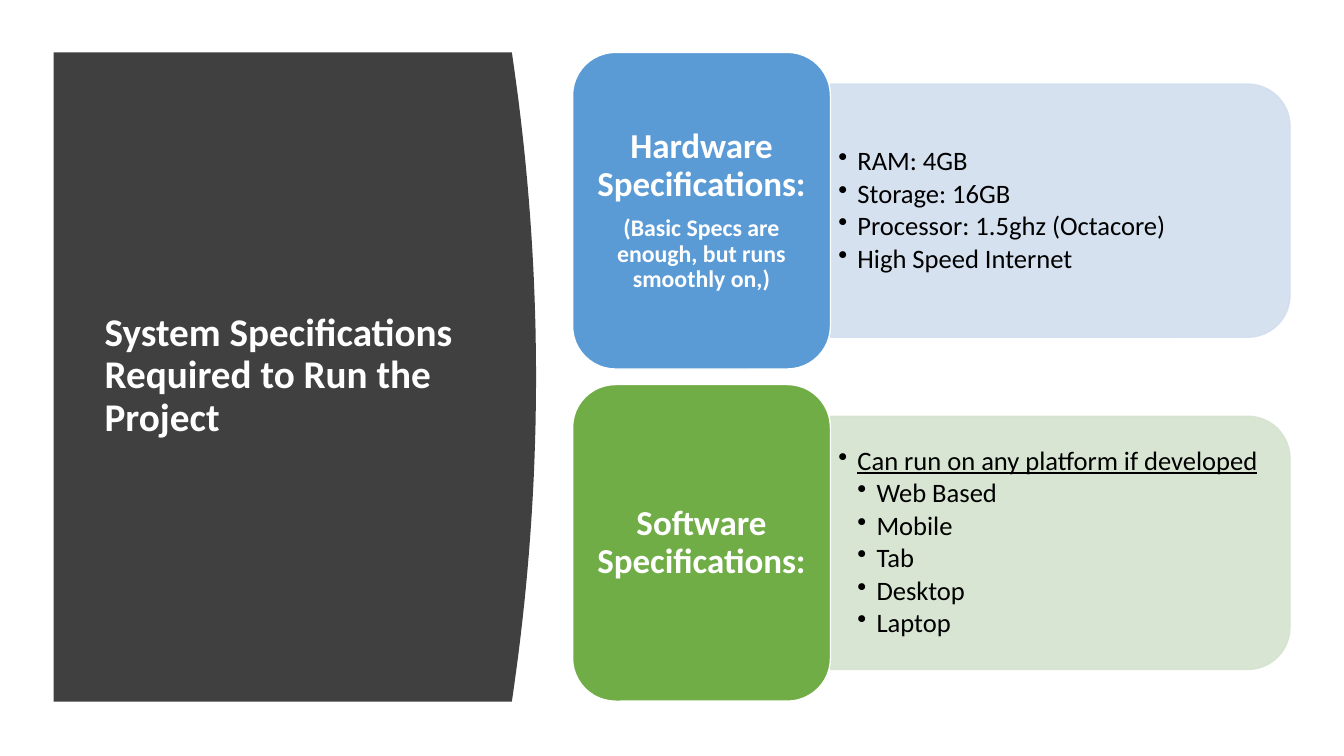
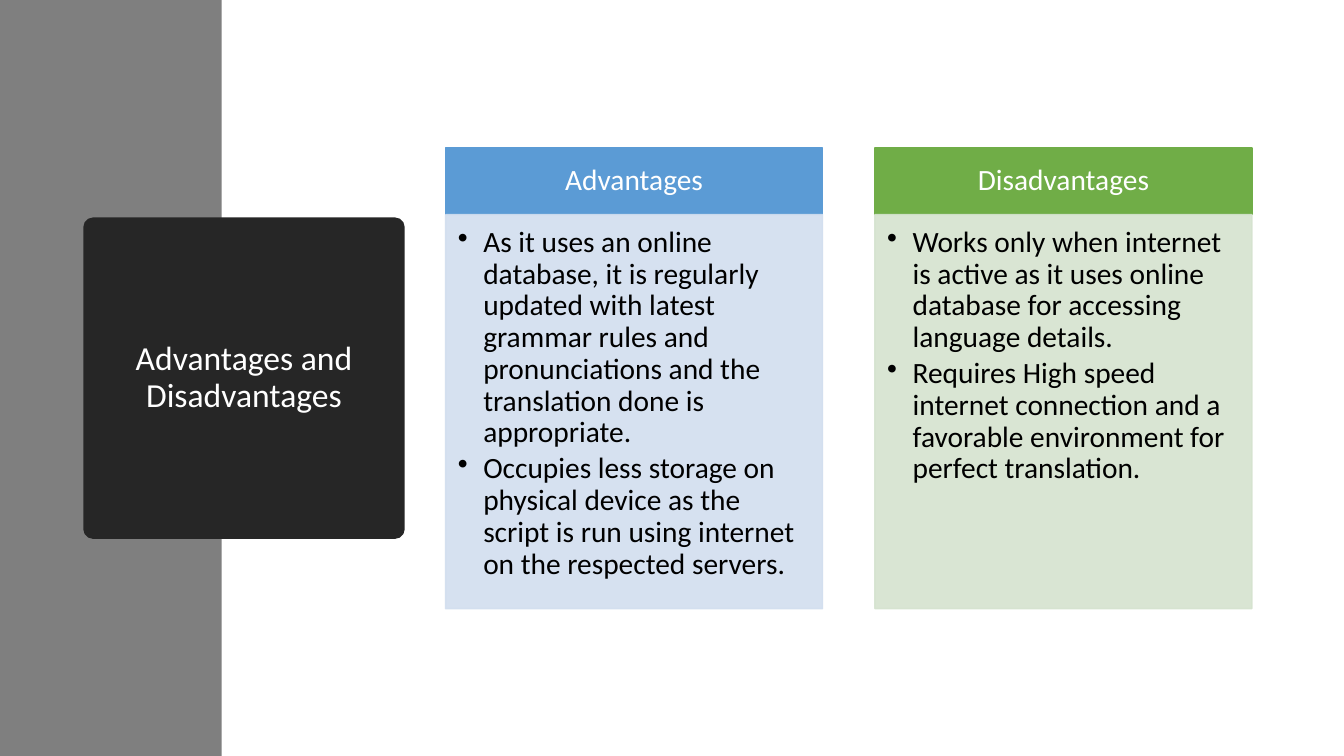
from dataclasses import dataclass

from lxml import etree
from pptx import Presentation
from pptx.dml.color import RGBColor as Rgb
from pptx.enum.shapes import MSO_SHAPE as Kind
from pptx.enum.text import MSO_ANCHOR as Anchor, PP_ALIGN as Align
from pptx.oxml.ns import qn
from pptx.util import Cm, Pt


@dataclass(frozen=True)
class Theme:
    font: str = "Calibri"
    white: str = "FFFFFF"
    black: str = "000000"
    slate: str = "404040"
    coal: str = "262626"
    gray: str = "7F7F7F"
    blue: str = "5B9BD5"
    sky: str = "D2DEEF"
    green: str = "70AD47"
    mint: str = "D5E3CF"
    title: int = 28
    badge: int = 24
    label: int = 25
    note: int = 17
    item: int = 19
    body: int = 21


T = Theme()
TONES = [(T.blue, T.sky), (T.green, T.mint)]


@dataclass
class Para:
    text: str
    size: int
    color: str = T.white
    bold: bool = False
    under: bool = False
    depth: int = 0  # 0 is plain text, 1 and up are bullets
    after: float = 0


# Shared parts
def paint(shape, fill, line=None, veil=False):
    shape.shadow.inherit = False
    shape.fill.solid()
    shape.fill.fore_color.rgb = Rgb.from_string(fill)
    if line:
        shape.line.color.rgb = Rgb.from_string(line)
        shape.line.width = Pt(1)
    else:
        shape.line.fill.background()
    if veil:  # ten per cent see-through
        for tint in shape.element.spPr.iter(qn("a:srgbClr")):
            etree.SubElement(tint, qn("a:alpha")).set("val", "90000")
    return shape


def block(slide, kind, box, fill, line=None, veil=False):
    shape = slide.shapes.add_shape(kind, *map(Cm, box))
    return paint(shape, fill, line, veil)


def label(slide, box):
    return slide.shapes.add_textbox(*map(Cm, box))


def write(shape, paras, align=Align.LEFT, anchor=Anchor.MIDDLE,
          pad=(0.25, 0.13, 0.25, 0.13), step=0.48):
    frame = shape.text_frame
    frame.word_wrap = True
    frame.vertical_anchor = anchor
    (frame.margin_left, frame.margin_top,
     frame.margin_right, frame.margin_bottom) = map(Cm, pad)
    frame.text = "\n".join(p.text for p in paras)
    for para, p in zip(frame.paragraphs, paras):
        para.alignment = align
        para.line_spacing = 0.9
        para.space_after = Pt(p.after)
        if p.depth:
            para.level = p.depth
            props = para._p.get_or_add_pPr()
            props.set("marL", str(Cm(step * p.depth)))
            props.set("indent", str(-Cm(step)))
            etree.SubElement(props, qn("a:buChar")).set("char", "•")
        for run in para.runs:
            font = run.font
            font.name, font.size = T.font, Pt(p.size)
            font.bold, font.underline = p.bold, p.under
            font.color.rgb = Rgb.from_string(p.color)


# Dark panel with a bowed right side
def panel(slide, box, text):
    x, y, w, h = box
    bow, steps = 0.61, 40
    edge = []
    for i in range(steps + 1):
        t = i / steps
        out = bow * 4 * t * (1 - t)
        edge.append((Cm(x + w - bow + out), Cm(y + h * t)))
    pen = slide.shapes.build_freeform(Cm(x), Cm(y))
    pen.add_line_segments(edge + [(Cm(x), Cm(y + h))])
    paint(pen.convert_to_shape(), T.slate)
    write(label(slide, (x + 1.04, y + 1.5, 9.5, h - 3.05)),
          [Para(text, T.title, bold=True)])


# Bright tile with a pale list panel at its right
def row(slide, box, tone, heads, items):
    x, y, w, h = box
    tile, inset = 6.5, 0.8
    wide, tall = w - tile, h - 2 * inset
    left, top = x + tile, y + inset
    dark, pale = tone
    # The panel lies on its side, turned about its centre
    turned = (left + (wide - tall) / 2, top + (tall - wide) / 2, tall, wide)
    block(slide, Kind.ROUND_2_SAME_RECTANGLE, turned, pale, pale,
          veil=True).rotation = 90
    write(label(slide, (left, top + 0.3, wide - 0.3, tall - 0.6)),
          [Para(text, T.item, T.black, under=under, depth=depth, after=2.7)
           for text, depth, under in items], pad=(0.2, 0.1, 0.2, 0.1))
    write(block(slide, Kind.ROUNDED_RECTANGLE, (x, y, tile, h), dark, T.white),
          [Para(text, size, bold=True, after=0.35 * size)
           for text, size in heads], Align.CENTER)


# Header bar above a pale list
def column(slide, box, tone, head, items):
    x, y, w, h = box
    bar = 1.68
    dark, pale = tone
    write(block(slide, Kind.RECTANGLE, (x, y, w, bar), dark, dark),
          [Para(head, T.body)], Align.CENTER, pad=(0.4, 0.22, 0.4, 0.22))
    write(block(slide, Kind.RECTANGLE, (x, y + bar, w, h - bar), pale, pale,
                veil=True),
          [Para(text, T.body, T.black, depth=1, after=3) for text in items],
          anchor=Anchor.TOP, pad=(0.31, 0.31, 0.41, 0.46), step=0.64)


# Square title over the side band
def badge(slide, box, text):
    shape = block(slide, Kind.ROUNDED_RECTANGLE, box, T.coal)
    shape.adjustments[0] = 0.03
    write(shape, [Para(text, T.badge)], Align.CENTER, pad=(0.8, 0.13, 0.8, 0.13))


def specs(slide):
    panel(slide, (1.35, 1.32, 12.16, 16.36),
          "System Specifications Required to Run the Project")
    hard = ["RAM: 4GB", "Storage: 16GB", "Processor: 1.5ghz (Octacore)",
            "High Speed Internet"]
    soft = ["Web Based", "Mobile", "Tab", "Desktop", "Laptop"]
    rows = [
        ([("Hardware Specifications:", T.label),
          ("(Basic Specs are enough, but runs smoothly on,)", T.note)],
         [(text, 1, False) for text in hard]),
        ([("Software Specifications:", T.label)],
         [("Can run on any platform if developed", 1, True)]
         + [(text, 2, False) for text in soft]),
    ]
    for i, (heads, items) in enumerate(rows):
        row(slide, (14.43, 1.32 + 8.37 * i, 18.08, 7.98), TONES[i], heads, items)


def merits(slide, height):
    block(slide, Kind.RECTANGLE, (0, 0, 5.59, height), T.gray)
    badge(slide, (2.1, 5.48, 8.1, 8.1), "Advantages and Disadvantages")
    cols = [
        ("Advantages", [
            "As it uses an online database, it is regularly updated with "
            "latest grammar rules and pronunciations and the translation "
            "done is appropriate.",
            "Occupies less storage on physical device as the script is run "
            "using internet on the respected servers."]),
        ("Disadvantages", [
            "Works only when internet is active as it uses online database "
            "for accessing language details.",
            "Requires High speed internet connection and a favorable "
            "environment for perfect translation."]),
    ]
    for i, (head, items) in enumerate(cols):
        column(slide, (11.23 + 10.82 * i, 3.73, 9.5, 11.61), TONES[i],
               head, items)


def main():
    deck = Presentation()
    wide, tall = 33.87, 19.05
    deck.slide_width, deck.slide_height = Cm(wide), Cm(tall)
    blank = deck.slide_layouts[6]
    specs(deck.slides.add_slide(blank))
    merits(deck.slides.add_slide(blank), tall)
    deck.save("out.pptx")


if __name__ == "__main__":
    main()
